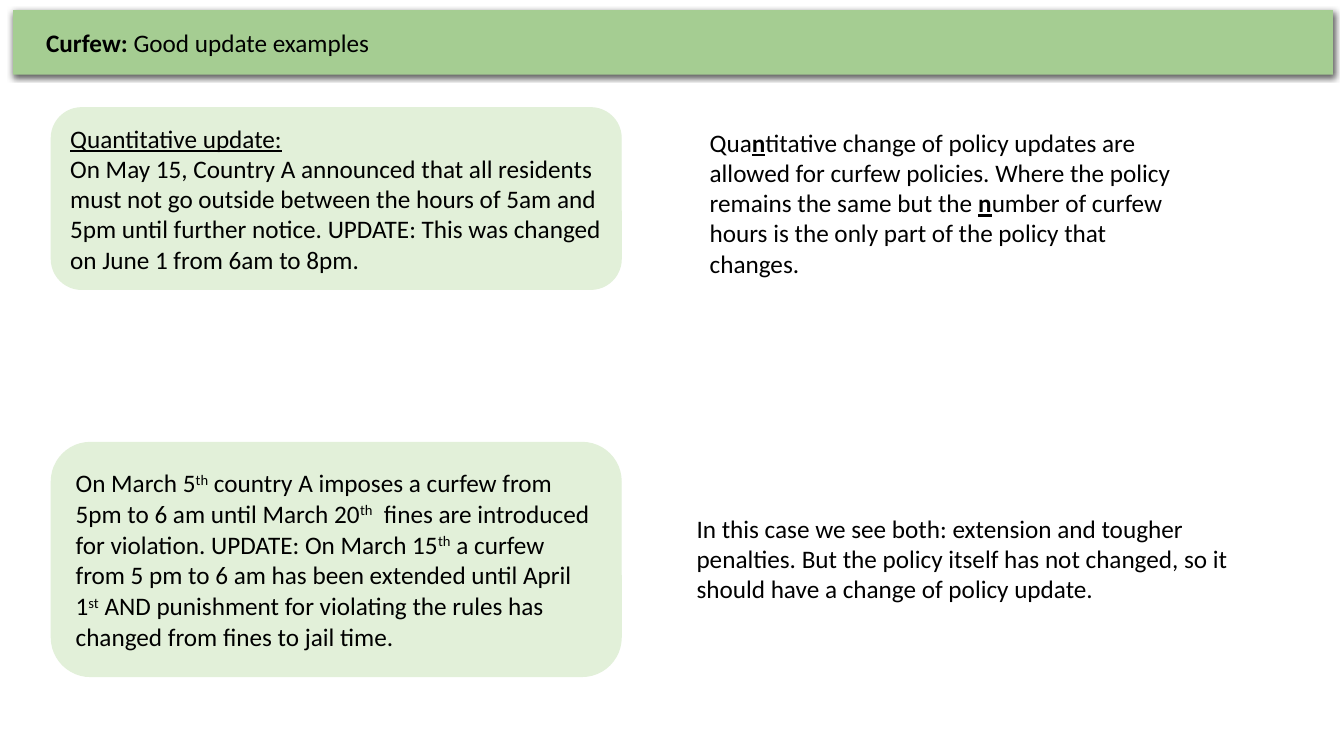
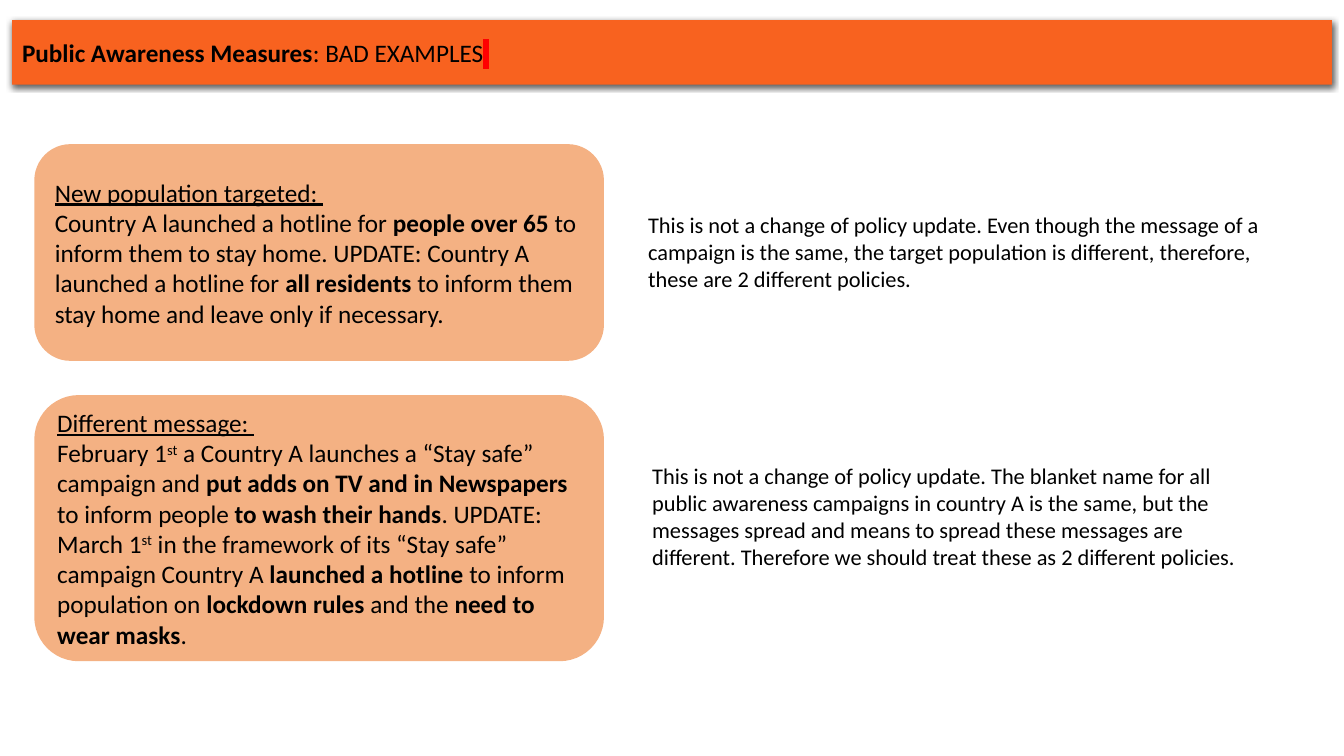
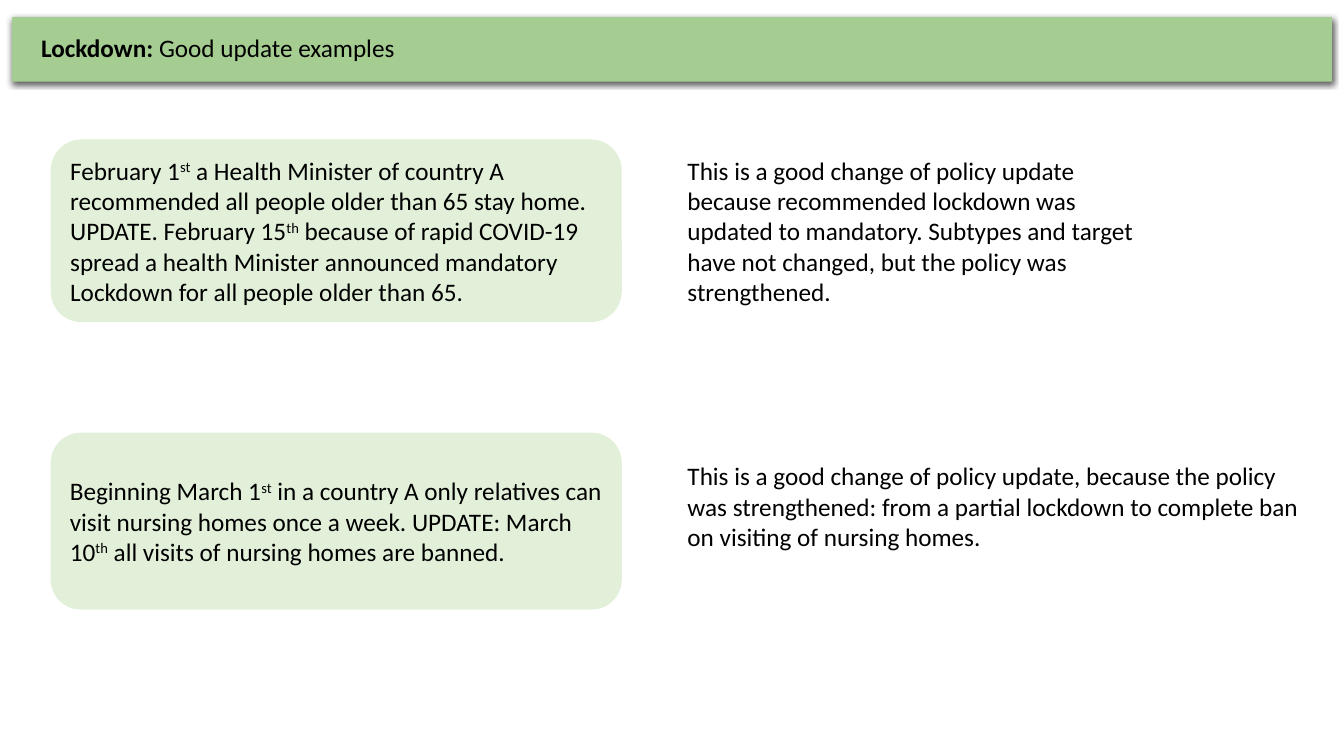
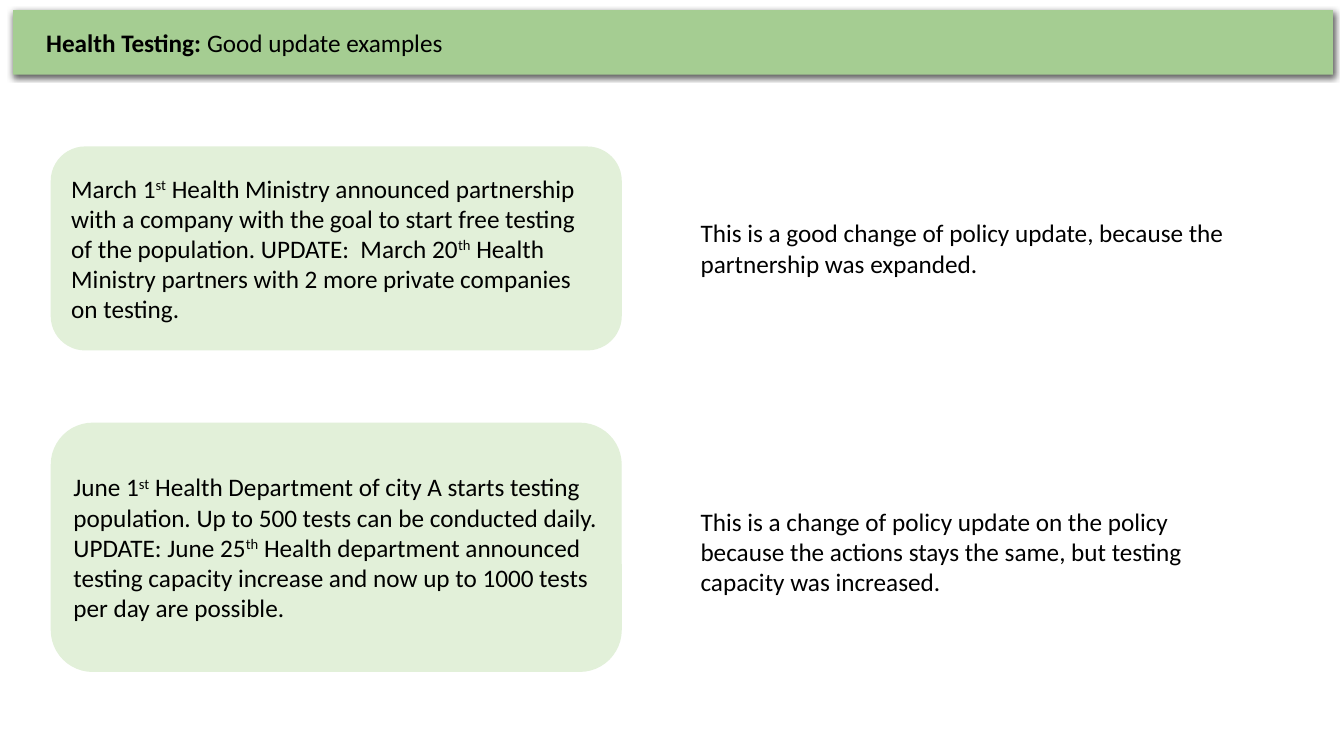
import pptx
import pptx.dml.color
import pptx.enum.shapes
import pptx.enum.text
import pptx.oxml
import pptx.oxml.ns
import pptx.util
from pptx.util import Inches

NAMESPACE = 'xmlns:a="http://schemas.openxmlformats.org/drawingml/2006/main"'
GREEN, PALE_GREEN = "A5CD92", "E2F0D9"
ORANGE, PALE_ORANGE = "F8621F", "F4B183"
ST, TH = ("st", "^"), ("th", "^")


def color(value):
    return pptx.dml.color.RGBColor.from_string(value)


def element(xml):
    return pptx.oxml.parse_xml(xml.replace(" NS", " " + NAMESPACE))


class Deck:
    """Holds the shared style and the current slide."""

    font_name = "Calibri"
    text_color = "000000"
    band_size = (13.09, 0.64)
    example_width = 5.65

    def __init__(self):
        self.presentation = pptx.Presentation()
        self.presentation.slide_width = Inches(13.33)
        self.presentation.slide_height = Inches(7.5)
        self.slide = None

    def new_slide(self):
        layout = self.presentation.slide_layouts[6]
        self.slide = self.presentation.slides.add_slide(layout)

    def set_text(self, frame, paragraphs, size=18):
        frame.word_wrap = True
        for index, pieces in enumerate(paragraphs):
            paragraph = frame.add_paragraph() if index else frame.paragraphs[0]
            paragraph.alignment = pptx.enum.text.PP_ALIGN.LEFT
            paragraph.font.name = self.font_name
            paragraph.font.size = pptx.util.Pt(size)
            paragraph.font.color.rgb = color(self.text_color)
            for piece in pieces:
                text, marks = (piece, "") if isinstance(piece, str) else piece
                self.add_run(paragraph, text, marks)

    def add_run(self, paragraph, text, marks):
        run = paragraph.add_run()
        run.text = text
        if "b" in marks:
            run.font.bold = True
        if "u" in marks:
            run.font.underline = True
        if "^" in marks:
            run._r.get_or_add_rPr().set("baseline", "30000")
        if "h" in marks:
            run._r.get_or_add_rPr().append(element(
                '<a:highlight NS><a:srgbClr val="FF0000"/></a:highlight>'))

    def block(self, kind, box, fill, line=None):
        shape = self.slide.shapes.add_shape(kind, *map(Inches, box))
        shape.shadow.inherit = False
        shape.fill.solid()
        shape.fill.fore_color.rgb = color(fill)
        if line:
            shape.line.color.rgb = color(line)
            shape.line.width = pptx.util.Pt(1)
        else:
            shape.line.fill.background()
        shape.text_frame.vertical_anchor = pptx.enum.text.MSO_ANCHOR.MIDDLE
        return shape

    def band(self, left, top, fill):
        kind = pptx.enum.shapes.MSO_SHAPE.RECTANGLE
        shape = self.block(kind, (left, top, *self.band_size), fill)
        effects = shape._element.spPr.find(pptx.oxml.ns.qn("a:effectLst"))
        effects.append(element(
            '<a:outerShdw NS blurRad="57150" dist="19050" dir="5400000" algn="ctr" '
            'rotWithShape="0"><a:srgbClr val="000000"><a:alpha val="63000"/>'
            '</a:srgbClr></a:outerShdw>'))
        return shape

    def good_heading(self, topic, band_place, text_place):
        self.band(*band_place, GREEN)
        self.note((*text_place, 9.27, 0.4), (topic + ": ", "b"), "Good update examples")

    def example(self, left, top, height, fill, *paragraphs, line=None):
        kind = pptx.enum.shapes.MSO_SHAPE.ROUNDED_RECTANGLE
        shape = self.block(kind, (left, top, self.example_width, height), fill, line)
        self.set_text(shape.text_frame, paragraphs)

    def good_example(self, top, height, *paragraphs):
        self.example(0.51, top, height, PALE_GREEN, *paragraphs, line=PALE_GREEN)

    def bad_example(self, top, height, *paragraphs):
        self.example(0.34, top, height, PALE_ORANGE, *paragraphs)

    def note(self, box, *pieces, size=18):
        shape = self.slide.shapes.add_textbox(*map(Inches, box))
        self.set_text(shape.text_frame, [pieces], size)
        shape.text_frame.auto_size = pptx.enum.text.MSO_AUTO_SIZE.SHAPE_TO_FIT_TEXT

    def plain_table(self, box, *pieces):
        table = self.slide.shapes.add_table(1, 1, *map(Inches, box)).table
        table.first_row = table.horz_banding = False
        cell = table.cell(0, 0)
        cell.vertical_anchor = pptx.enum.text.MSO_ANCHOR.MIDDLE
        self.set_text(cell.text_frame, [pieces])
        properties = cell._tc.get_or_add_tcPr()
        for side in "LRTB":
            properties.append(element(f"<a:ln{side} NS><a:noFill/></a:ln{side}>"))
        cell.fill.background()


def curfew(deck):
    deck.new_slide()
    deck.good_heading("Curfew", (0.13, 0.1), (0.36, 0.22))
    deck.good_example(
        1.07, 1.8,
        [("Quantitative update:", "u")],
        ["On May 15, Country A announced that all residents must not go outside between "
         "the hours of 5am and 5pm until further notice. UPDATE: This was changed on "
         "June 1 from 6am to 8pm."])
    deck.note(
        (6.94, 1.21, 4.92, 1.62),
        "Qua", ("n", "bu"),
        "titative change of policy updates are allowed for curfew policies. Where the "
        "policy remains the same but the ", ("n", "bu"),
        "umber of curfew hours is the only part of the policy that changes.")
    deck.good_example(4.39, 2.32)
    deck.plain_table(
        (0.65, 4.6, 5.38, 1.9),
        "On March 5", TH, " country A imposes a curfew from 5pm to 6 am until March 20",
        TH, "  fines are introduced for violation. UPDATE: On March 15", TH,
        " a curfew from 5 pm to 6 am has been extended until April 1", ST,
        " AND punishment for violating the rules has changed from fines to jail time.")
    deck.note(
        (6.81, 5.04, 5.88, 1.01),
        "In this case we see both: extension and tougher penalties. But the policy "
        "itself has not changed, so it should have a change of policy update.")


def public_awareness(deck):
    deck.new_slide()
    band = deck.band(0.12, 0.2, ORANGE)
    deck.set_text(band.text_frame, [
        [("Public Awareness Measures", "b"), ": BAD EXAMPLES", (" ", "h")]])
    deck.bad_example(
        1.43, 2.15,
        [("New population targeted: ", "u")],
        ["Country A launched a hotline for ", ("people over 65 ", "b"),
         "to inform them to stay home. UPDATE: Country A launched a hotline for ",
         ("all residents ", "b"), "to inform them stay home and leave only if necessary."])
    deck.note(
        (6.33, 2.05, 6.26, 0.91),
        "This is not a change of policy update. Even though the message of a campaign "
        "is the same, the target population is different, therefore, these are 2 "
        "different policies.", size=16)
    deck.bad_example(
        3.92, 2.64,
        [("Different message: ", "u")],
        ["February 1", ST, " a Country A launches a “Stay safe” campaign and ",
         ("put adds on TV and in Newspapers ", "b"), "to inform people ",
         ("to wash their hands", "b"), ". UPDATE: March 1", ST,
         " in the framework of its “Stay safe” campaign Country A ",
         ("launched a hotline ", "b"), "to inform population on ",
         ("lockdown rules ", "b"), "and the ", ("need to wear masks", "b"), "."])
    deck.note(
        (6.37, 4.54, 6.22, 1.18),
        "This is not a change of policy update. The blanket name for all public "
        "awareness campaigns in country A is the same, but the messages spread and "
        "means to spread these messages are different. Therefore we should treat these "
        "as 2 different policies.", size=16)


def lockdown(deck):
    deck.new_slide()
    deck.good_heading("Lockdown", (0.12, 0.17), (0.31, 0.27))
    deck.good_example(
        1.39, 1.8,
        ["February 1", ST, " a Health Minister of country A recommended all people older "
         "than 65 stay home. UPDATE. February 15", TH, " because of rapid COVID-19 spread "
         "a health Minister announced mandatory Lockdown for all people older than 65."])
    deck.note(
        (6.72, 1.49, 4.92, 1.62),
        "This is a good change of policy update because recommended lockdown was updated "
        "to mandatory. Subtypes and target have not changed, but the policy was "
        "strengthened.")
    deck.good_example(
        4.3, 1.74,
        ["Beginning March 1", ST, " in a country A only relatives can visit nursing homes "
         "once a week. UPDATE: March 10", TH, " all visits of nursing homes are banned."])
    deck.note(
        (6.72, 4.52, 6.32, 1.31),
        "This is a good change of policy update, because the policy was strengthened: "
        "from a partial lockdown to complete ban on visiting of nursing homes.")


def health_testing(deck):
    deck.new_slide()
    deck.good_heading("Health Testing", (0.13, 0.1), (0.36, 0.22))
    deck.good_example(
        1.46, 2.01,
        ["March 1", ST, " Health Ministry announced partnership with a company with the "
         "goal to start free testing of the population. UPDATE:  March 20", TH,
         " Health Ministry partners with 2 more private companies on testing."])
    deck.note(
        (6.85, 2.11, 5.65, 0.71),
        "This is a good change of policy update, because the partnership was expanded.")
    deck.good_example(
        4.2, 2.46,
        ["June 1", ST, " Health Department of city A starts testing population. Up to 500 "
         "tests can be conducted daily. UPDATE: June 25", TH, " Health department "
         "announced testing capacity increase and now up to 1000 tests per day are "
         "possible."])
    deck.note(
        (6.85, 4.97, 5.56, 1.01),
        "This is a change of policy update on the policy because the actions stays the "
        "same, but testing capacity was increased.")


def main():
    deck = Deck()
    for build in (curfew, public_awareness, lockdown, health_testing):
        build(deck)
    deck.presentation.save("out.pptx")


if __name__ == "__main__":
    main()
